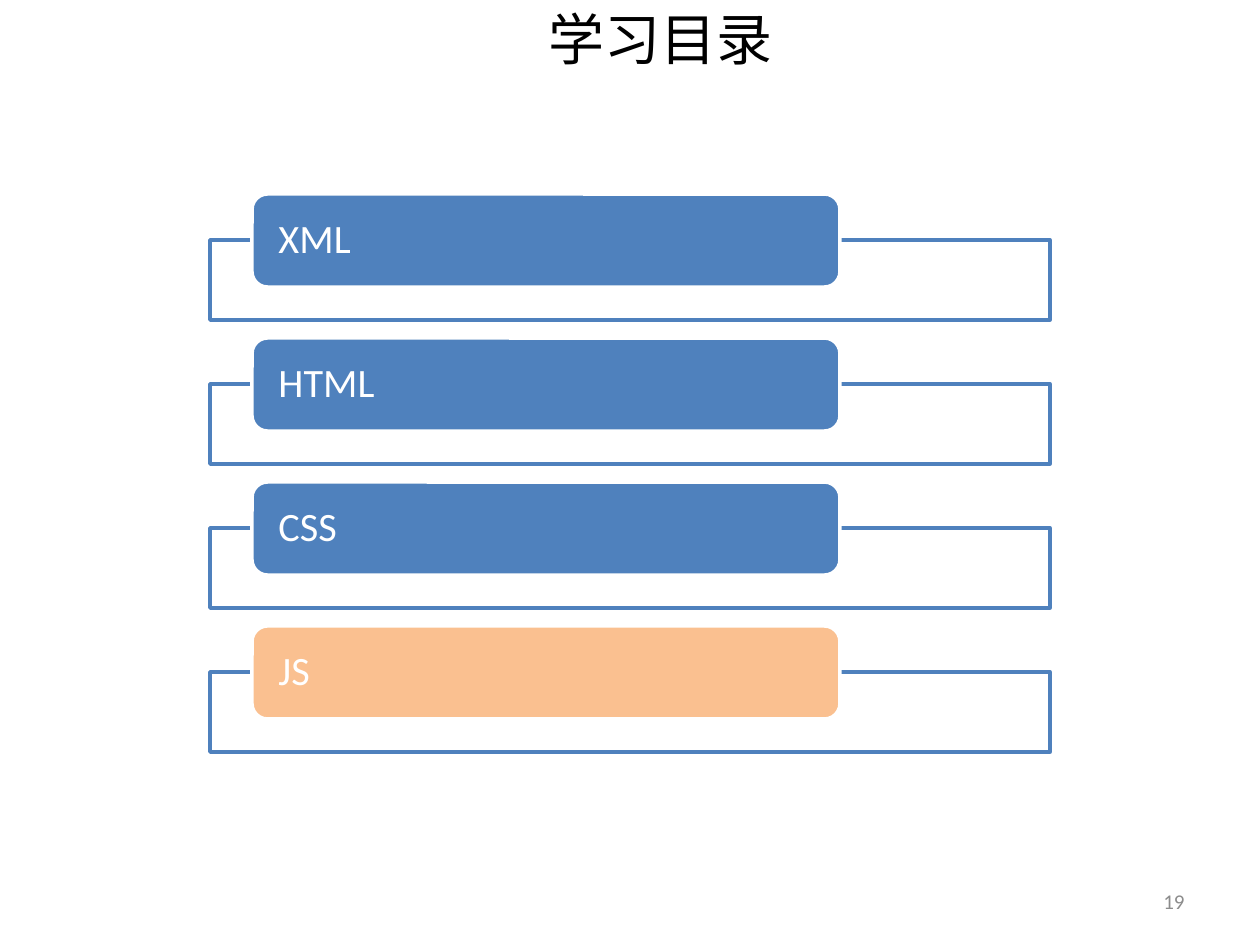
"""Build the study contents slide with four framed topic bars."""
from lxml.etree import SubElement
from pptx import Presentation
from pptx.dml.color import RGBColor
from pptx.enum.shapes import MSO_SHAPE
from pptx.enum.text import MSO_ANCHOR, PP_ALIGN
from pptx.oxml.ns import qn
from pptx.util import Emu, Pt

SCALE = 914400 / 126
COLORS = {
    "blue": "4F81BD",
    "orange": "FAC090",
    "white": "FFFFFF",
    "black": "000000",
    "gray": "8C8C8C",
}
TOPICS = [("XML", "blue"), ("HTML", "blue"), ("CSS", "blue"), ("JS", "orange")]
FIRST_TOP = 194
PITCH = 144


def px(length):
    return Emu(round(length * SCALE))


def rgb(name):
    return RGBColor.from_string(COLORS[name])


class ContentsSlide:
    font = "Calibri"
    line_width = Pt(2)

    def __init__(self, presentation):
        self.slide = presentation.slides.add_slide(presentation.slide_layouts[5])
        self.topics = self.slide.shapes.add_group_shape()

    def set_text(self, shape, text, size, color, align):
        frame = shape.text_frame
        frame.text = text
        frame.word_wrap = True
        frame.vertical_anchor = MSO_ANCHOR.MIDDLE
        paragraph = frame.paragraphs[0]
        paragraph.alignment = align
        for run in paragraph.runs:
            run.font.name = self.font
            run.font.size = Pt(size)
            run.font.color.rgb = rgb(color)
        return paragraph

    def title(self, text, left, top, width, height):
        heading = self.slide.shapes.title
        heading.left, heading.top = px(left), px(top)
        heading.width, heading.height = px(width), px(height)
        self.set_text(heading, text, 32, "black", PP_ALIGN.CENTER)

    def page_number(self, text, left, top, width, height):
        number = self.slide.shapes.add_textbox(*map(px, (left, top, width, height)))
        self.set_text(number, text, 12, "gray", PP_ALIGN.RIGHT)

    def box(self, preset, bounds, fill, line):
        shape = self.topics.shapes.add_shape(preset, *map(px, bounds))
        shape.shadow.inherit = False
        shape.fill.solid()
        shape.fill.fore_color.rgb = rgb(fill)
        shape.line.color.rgb = rgb(line)
        shape.line.width = self.line_width
        return shape

    def topic(self, text, top, fill):
        frame = self.box(MSO_SHAPE.RECTANGLE, (210, top + 46, 840, 80), "white", "blue")
        white = frame.element.spPr.find(f"{qn('a:solidFill')}/{qn('a:srgbClr')}")
        SubElement(white, qn("a:alpha"), val="90000")
        bar = self.box(MSO_SHAPE.ROUNDED_RECTANGLE, (252, top, 588, 93), fill, "white")
        paragraph = self.set_text(bar, text, 23, "white", PP_ALIGN.LEFT)
        paragraph.line_spacing = 0.9
        insets = bar.text_frame
        insets.margin_left = insets.margin_right = px(22)
        insets.margin_top = insets.margin_bottom = 0


def main():
    presentation = Presentation()
    presentation.slide_width, presentation.slide_height = px(1260), px(945)
    contents = ContentsSlide(presentation)
    contents.title("学习目录", 94, 0, 1134, 76)
    for index, (topic, fill) in enumerate(TOPICS):
        contents.topic(topic, FIRST_TOP + index * PITCH, fill)
    contents.page_number("19", 903, 876, 294, 50)
    presentation.save("out.pptx")


if __name__ == "__main__":
    main()
